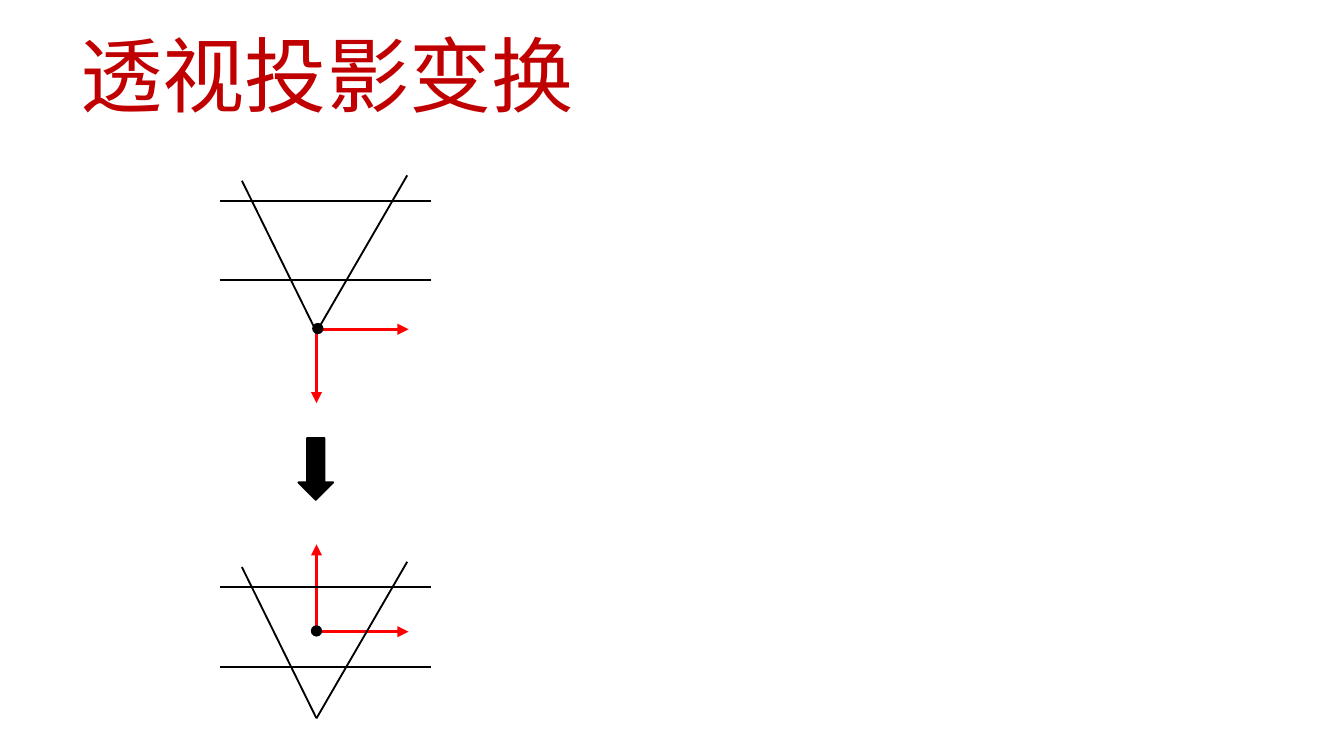
from lxml.etree import SubElement
from pptx import Presentation
from pptx.dml.color import RGBColor
from pptx.enum.shapes import MSO_CONNECTOR, MSO_SHAPE
from pptx.enum.text import MSO_ANCHOR, PP_ALIGN
from pptx.oxml.ns import qn
from pptx.util import Inches, Pt

BLACK = RGBColor(0x00, 0x00, 0x00)
RED = RGBColor(0xFF, 0x00, 0x00)
CRIMSON = RGBColor(0xC0, 0x00, 0x00)
FONT = "Noto Sans CJK SC"

deck = Presentation()
deck.slide_width = Inches(10)
deck.slide_height = deck.slide_width * 9 // 16
CELL = deck.slide_width // 1000
slide = deck.slides.add_slide(deck.slide_layouts[5])


def write(box, text, size=44, color=BLACK, align=PP_ALIGN.LEFT):
    frame = box.text_frame
    frame.word_wrap = True
    frame.vertical_anchor = MSO_ANCHOR.MIDDLE
    frame.margin_top = Inches(0.09)
    line = frame.paragraphs[0]
    line.alignment = align
    run = line.add_run()
    run.text = text
    run.font.name = FONT
    run.font.size = Pt(size)
    run.font.color.rgb = color
    SubElement(run.font._element, qn("a:ea"), typeface=FONT)


def draw(start, end, color=BLACK, width=1, arrow=False):
    ends = [int(place * CELL) for place in (*start, *end)]
    line = slide.shapes.add_connector(MSO_CONNECTOR.STRAIGHT, *ends)
    line.line.color.rgb = color
    line.line.width = Pt(width)
    if arrow:
        SubElement(line.line._get_or_add_ln(), qn("a:tailEnd"), type="triangle")
    SubElement(line._element.spPr, qn("a:effectLst"))


title = slide.shapes.title
title.left, title.top = 50 * CELL, 14 * CELL
title.width, title.height = 900 * CELL, 78 * CELL
write(title, "透视投影变换", color=CRIMSON)

MID = 235.5
VIEWS = [(247, 245, 300), (534.5, 470, 405)]
for apex, eye, tip in VIEWS:
    draw((MID, eye), (304, eye), RED, 1.5, True)
    draw((MID, eye), (MID, tip), RED, 1.5, True)
    draw((MID, apex), (180, apex - 112.5))
    draw((MID, apex), (303, apex - 116.5))
    for rise in (97.5, 38.5):
        draw((163.5, apex - rise), (321, apex - rise))

SOLIDS = [
    (MSO_SHAPE.DOWN_ARROW, 222, 326, 26, 46),
    (MSO_SHAPE.OVAL, 233, 241, 7, 7),
    (MSO_SHAPE.OVAL, 232, 466, 7, 7),
]
for kind, *box in SOLIDS:
    solid = slide.shapes.add_shape(kind, *[side * CELL for side in box])
    solid.shadow.inherit = False
    solid.fill.solid()
    solid.fill.fore_color.rgb = BLACK
    solid.line.color.rgb = BLACK
    solid.line.width = Pt(1)

deck.save("out.pptx")
